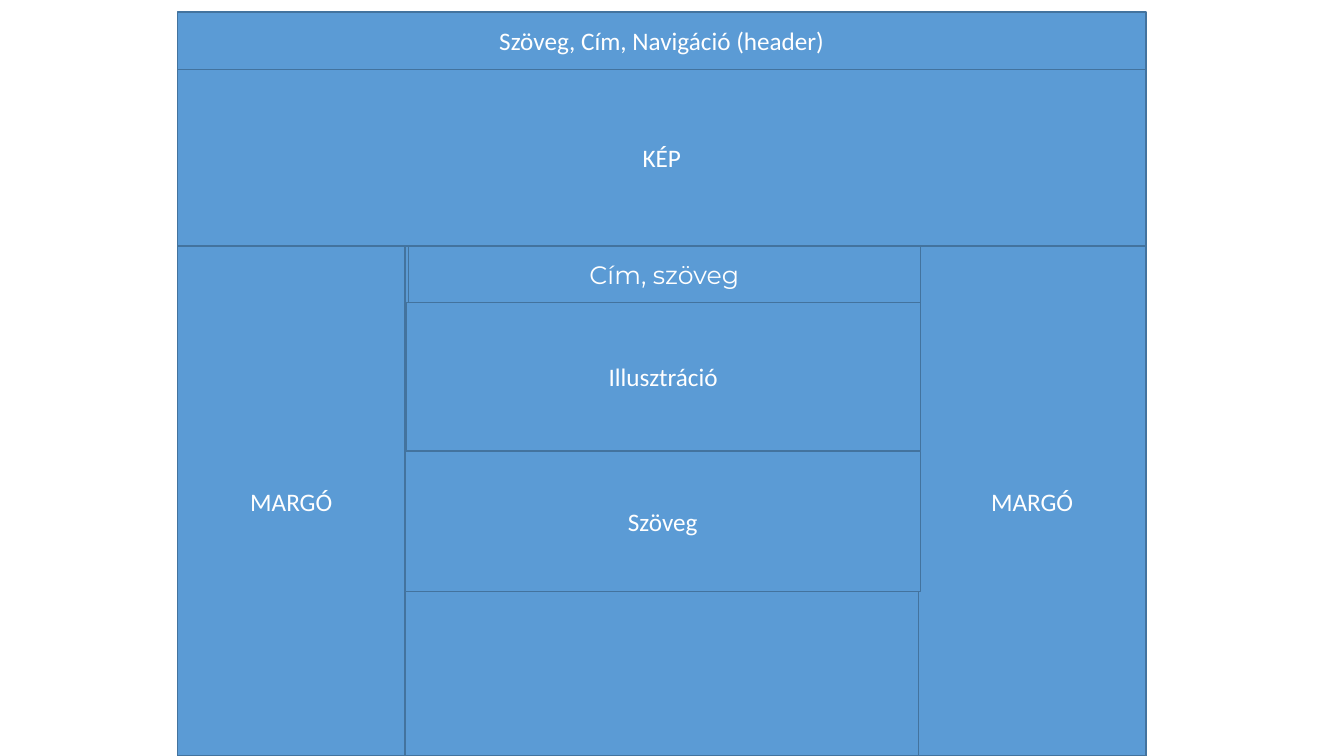
"""Builds a slide with the wireframe of a web page."""
import pptx
import pptx.dml.color
import pptx.enum.shapes
import pptx.enum.text
import pptx.util

Pt = pptx.util.Pt
PAGE_BOX = (126.72, 9.36, 691.92, 530.64)
HEADER_TOP, IMAGE_TOP, BODY_TOP = 8.64, 49.68, 175.68
MARGIN_WIDTH = 162.72


def color(hex_code):
    """Return the RGB colour for a hex string."""
    return pptx.dml.color.RGBColor.from_string(hex_code)


def add_block(slide, left, top, width, height, label="", font_name="Calibri"):
    """Draw one outlined block with a centred label."""
    block = slide.shapes.add_shape(
        pptx.enum.shapes.MSO_SHAPE.RECTANGLE, Pt(left), Pt(top), Pt(width), Pt(height))
    block.shadow.inherit = False
    block.fill.solid()
    block.fill.fore_color.rgb = color("5B9BD5")
    block.line.color.rgb = color("43739E")
    block.line.width = Pt(1)
    if label:
        block.text_frame.text = label
        block.text_frame.vertical_anchor = pptx.enum.text.MSO_ANCHOR.MIDDLE
        paragraph = block.text_frame.paragraphs[0]
        paragraph.alignment = pptx.enum.text.PP_ALIGN.CENTER
        paragraph.font.name = font_name
        paragraph.font.size = Pt(18)
        paragraph.font.color.rgb = color("FFFFFF")


def add_banner(slide, left, width):
    """Stack the header and the image across the page."""
    add_block(slide, left, HEADER_TOP, width, IMAGE_TOP - HEADER_TOP,
              "Szöveg, Cím, Navigáció (header)")
    add_block(slide, left, IMAGE_TOP, width, BODY_TOP - IMAGE_TOP, "KÉP")


def add_margins(slide, left, top, width, height):
    """Place a margin at each side of the body."""
    for margin_left in (left, left + width - MARGIN_WIDTH):
        add_block(slide, margin_left, top, MARGIN_WIDTH, height, "MARGÓ")


def add_content(slide, top, right):
    """Stack the content blocks, aligned on their right edge."""
    for offset, width, height, label, font_name in (
            (0, 365.76, 40.32, "Cím, szöveg", "Montserrat"),
            (40.32, 367.2, 105.84, "Illusztráció", "Calibri"),
            (146.88, 367.92, 100.08, "Szöveg", "Calibri")):
        add_block(slide, right - width, top + offset, width, height, label, font_name)


def add_wireframe(slide, left, top, width, height):
    """Draw the page with its banner, margins and content."""
    add_block(slide, left, top, width, height)
    add_banner(slide, left, width)
    add_margins(slide, left, BODY_TOP, width, top + height - BODY_TOP)
    add_content(slide, BODY_TOP, left + width - MARGIN_WIDTH + 1.44)


presentation = pptx.Presentation()
presentation.slide_width, presentation.slide_height = Pt(960), Pt(540)
wireframe_slide = presentation.slides.add_slide(presentation.slide_layouts[6])
add_wireframe(wireframe_slide, *PAGE_BOX)
presentation.save("out.pptx")
